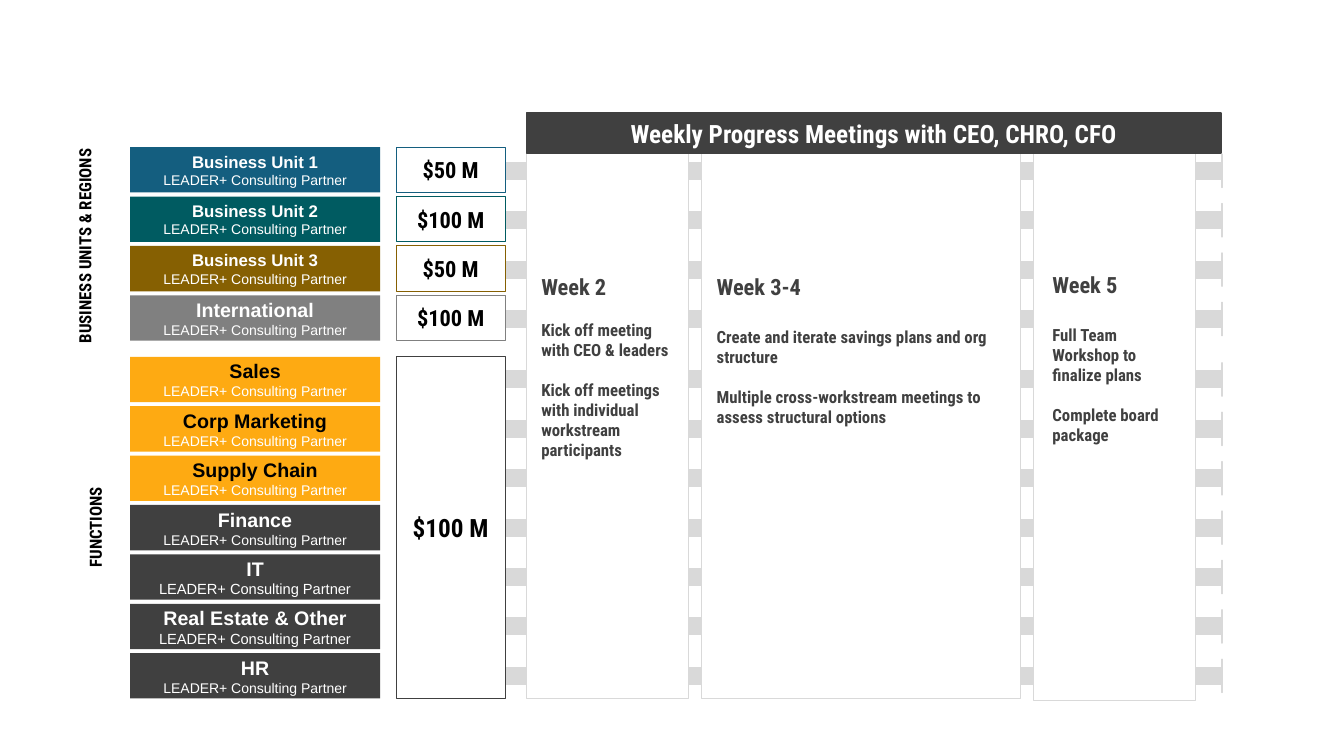
from pptx import Presentation
from pptx.dml.color import RGBColor
from pptx.enum.shapes import MSO_SHAPE
from pptx.enum.text import MSO_ANCHOR, PP_ALIGN
from pptx.util import Inches, Pt

THEME = {
    "blue": "145E7F", "teal": "005B61", "brown": "866002", "gray": "808080",
    "gold": "FEAA12", "dark": "404040", "pale": "D9D9D9",
    "white": "FFFFFF", "black": "000000",
    "sans": "Arial", "narrow": "Roboto Condensed",
    "title": 18, "head": 16, "name": 14, "body": 12, "role": 10, "role_big": 10.5,
}

ROLE = "LEADER+ Consulting Partner"
BANNER = "Weekly Progress Meetings with CEO, CHRO, CFO"
# name, fill, name size, name colour, role size, budget
UNITS = [
    ("Business Unit 1", "blue", "body", "white", "role", "$50 M"),
    ("Business Unit 2", "teal", "body", "white", "role", "$100 M"),
    ("Business Unit 3", "brown", "body", "white", "role", "$50 M"),
    ("International", "gray", "name", "white", "role", "$100 M"),
]
FUNCTIONS = [
    ("Sales", "gold", "name", "black", "role", None),
    ("Corp Marketing", "gold", "name", "black", "role", None),
    ("Supply Chain", "gold", "name", "black", "role", None),
    ("Finance", "dark", "name", "white", "role", None),
    ("IT", "dark", "name", "white", "role_big", None),
    ("Real Estate & Other", "dark", "name", "white", "role_big", None),
    ("HR", "dark", "name", "white", "role", None),
]
POOL = "$100 M"
# rows, top of first row, arrow offset within a row
GROUPS = [(UNITS, 1.46, 0.07), (FUNCTIONS, 3.54, 0.06)]
# text, left, top, width, height before rotation
SIDES = [
    ("BUSINESS UNITS & REGIONS", -0.17, 2.19, 2.22, 0.5),
    ("FUNCTIONS", 0.25, 5.08, 1.39, 0.3),
]
# panel box, text box, heading, gap under heading, paragraphs
WEEKS = [
    ((5.22, 1.39, 1.61, 5.54), (5.27, 2.66, 1.52, 2.54), "Week 2", 14,
     ["Kick off meeting with CEO & leaders",
      "Kick off meetings with individual workstream participants"]),
    ((6.96, 1.4, 3.16, 5.53), (7.01, 2.66, 3, 2.25), "Week 3-4", 19,
     ["Create and iterate savings plans and org structure",
      "Multiple cross-workstream meetings to assess structural options"]),
    ((10.25, 1.39, 1.61, 5.56), (10.34, 2.64, 1.43, 2.26), "Week 5", 19,
     ["Full Team Workshop to finalize plans", "Complete board package"]),
]
PITCH, ROW_H = 0.49, 0.45
NAME_X, NAME_W = 1.29, 2.48
COST_X, COST_W = 3.93, 1.08
ARROW_X, ARROW_W, ARROW_H = 4.47, 7.65, 0.33
PARA_GAP = 14


def color(key):
    return RGBColor.from_string(THEME[key])


def style(size, tint, font="narrow", bold=True):
    return {"size": Pt(THEME[size]), "name": THEME[font], "bold": bold, "tint": tint}


def write(frame, lines, align=PP_ALIGN.CENTER, anchor=MSO_ANCHOR.MIDDLE, inset=None):
    """Fill a frame with (text, style, space before) lines."""
    frame.word_wrap = True
    frame.vertical_anchor = anchor
    if inset is not None:
        for side in ("left", "top", "right", "bottom"):
            setattr(frame, "margin_" + side, Inches(inset))
    for i, (text, form, gap) in enumerate(lines):
        para = frame.add_paragraph() if i else frame.paragraphs[0]
        para.alignment = align
        if gap:
            para.space_before = Pt(gap)
        run = para.add_run()
        run.text = text
        for key, value in form.items():
            if key == "tint":
                run.font.color.rgb = color(value)
            else:
                setattr(run.font, key, value)


def draw(slide, box, fill, line=None, width=1, kind=MSO_SHAPE.RECTANGLE):
    shape = slide.shapes.add_shape(kind, *map(Inches, box))
    shape.shadow.inherit = False
    shape.fill.solid()
    shape.fill.fore_color.rgb = color(fill)
    if line:
        shape.line.color.rgb = color(line)
        shape.line.width = Pt(width)
    else:
        shape.line.fill.background()
    return shape


def add_cost(slide, top, height, text, line, size):
    cell = draw(slide, (COST_X, top, COST_W, height), "white", line, 0.75)
    write(cell.text_frame, [(text, style(size, "black"), 0)], inset=0.03)


def add_group(slide, rows, start, shift):
    for i, (name, fill, size, tint, small, cost) in enumerate(rows):
        top = start + i * PITCH
        arrow = draw(slide, (ARROW_X, top + shift, ARROW_W, ARROW_H),
                     "pale", "pale", kind=MSO_SHAPE.RIGHT_ARROW)
        arrow.adjustments[0] = 0.5
        arrow.adjustments[1] = 0
        tile = draw(slide, (NAME_X, top, NAME_W, ROW_H), fill)
        write(tile.text_frame, [
            (name, style(size, tint, "sans"), 0),
            (ROLE, style(small, "white", "sans", False), 0),
        ], inset=0.03)
        if cost:
            add_cost(slide, top, ROW_H, cost, fill, "head")


def add_week(slide, panel, box, head, gap, notes):
    draw(slide, panel, "white", "pale")
    lines = [(head, style("head", "dark"), 0)]
    for i, note in enumerate(notes):
        lines.append((note, style("body", "dark"), PARA_GAP if i else gap))
    block = draw(slide, box, "white")
    write(block.text_frame, lines, PP_ALIGN.LEFT, MSO_ANCHOR.TOP)


def main():
    deck = Presentation()
    deck.slide_width, deck.slide_height = Inches(13.33), Inches(7.5)
    slide = deck.slides.add_slide(deck.slide_layouts[6])
    for group in GROUPS:
        add_group(slide, *group)
    pool_h = (len(FUNCTIONS) - 1) * PITCH + ROW_H
    add_cost(slide, GROUPS[1][1], pool_h, POOL, "dark", "title")
    for text, *box in SIDES:
        label = slide.shapes.add_textbox(*map(Inches, box))
        label.rotation = 270
        write(label.text_frame, [(text, style("body", "black"), 0)],
              anchor=MSO_ANCHOR.TOP)
    for week in WEEKS:
        add_week(slide, *week)
    banner = draw(slide, (5.22, 1.12, 6.89, 0.4), "dark", "dark")
    write(banner.text_frame, [(BANNER, style("title", "white"), 0)])
    deck.save("out.pptx")


if __name__ == "__main__":
    main()
